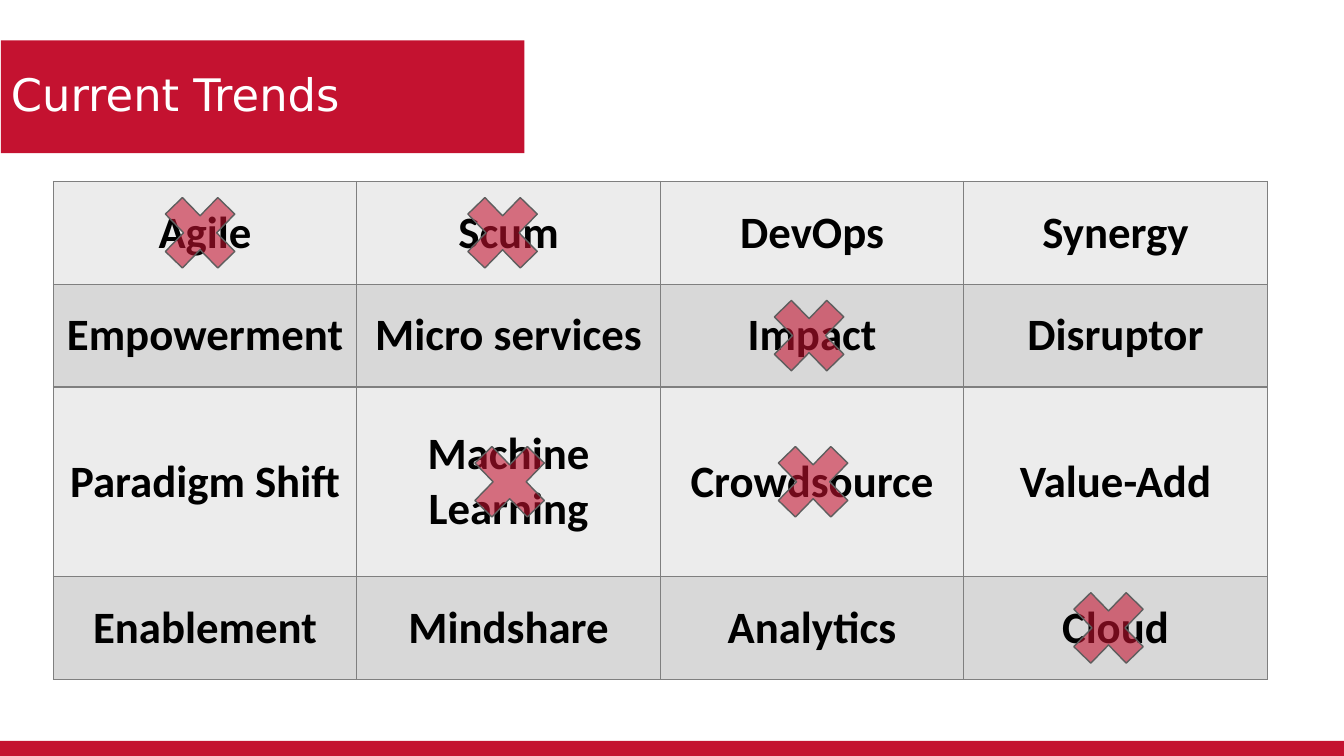
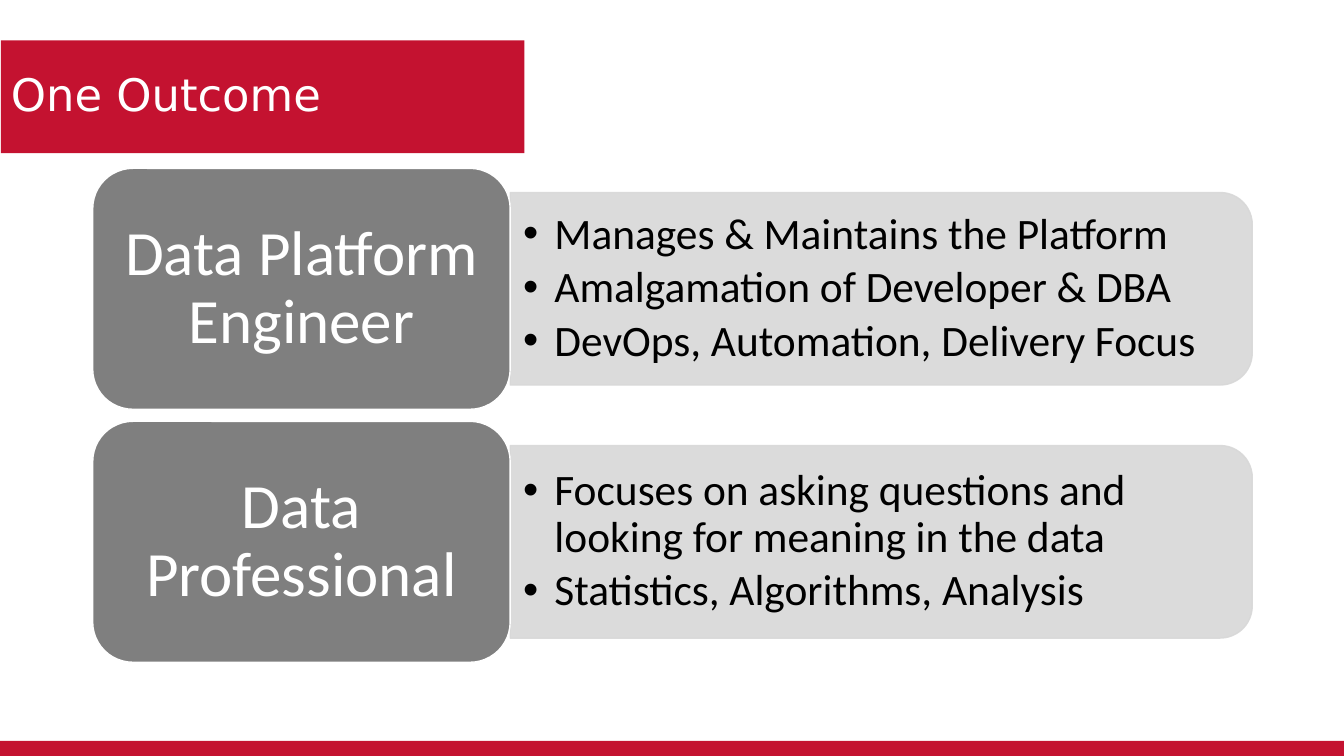
from dataclasses import dataclass

from lxml import etree
from pptx import Presentation
from pptx.dml.color import RGBColor
from pptx.enum.shapes import MSO_SHAPE
from pptx.enum.text import MSO_ANCHOR, PP_ALIGN
from pptx.oxml.ns import qn
from pptx.util import Inches, Pt

RECTANGLE = MSO_SHAPE.RECTANGLE
ROUNDED = MSO_SHAPE.ROUNDED_RECTANGLE
ROUND_TOP = MSO_SHAPE.ROUND_2_SAME_RECTANGLE
CROSS = MSO_SHAPE.MATH_MULTIPLY
MIDDLE = MSO_ANCHOR.MIDDLE
LEFT, CENTER = PP_ALIGN.LEFT, PP_ALIGN.CENTER


@dataclass(frozen=True)
class Theme:
    red: str = "C41230"
    white: str = "FFFFFF"
    black: str = "000000"
    gray: str = "7F7F7F"
    cross_line: str = "5E5E5E"
    light_row: str = "ECECEC"
    dark_row: str = "D8D8D8"
    title_font: str = "DejaVu Sans"
    body_font: str = "Calibri"
    title_size: float = 32
    table_size: float = 32
    card_size: float = 45
    bullet_size: float = 31


@dataclass(frozen=True)
class Box:
    left: float
    top: float
    width: float
    height: float

    def lengths(self) -> tuple:
        return tuple(Inches(v) for v in (self.left, self.top, self.width, self.height))


@dataclass(frozen=True)
class Strike:
    row: int
    column: int
    nudge: float


@dataclass(frozen=True)
class Role:
    name: str
    duties: tuple[str, ...]


THEME = Theme()
SLIDE_WIDTH, SLIDE_HEIGHT = 13.33, 7.5

TRENDS = (
    ("Agile", "Scum", "DevOps", "Synergy"),
    ("Empowerment", "Micro services", "Impact", "Disruptor"),
    ("Paradigm Shift", "Machine Learning", "Crowdsource", "Value-Add"),
    ("Enablement", "Mindshare", "Analytics", "Cloud"),
)
TABLE_LEFT, TABLE_TOP, COLUMN_WIDTH = 0.53, 1.8, 3.01
ROW_HEIGHTS = (1.02, 1.02, 1.88, 1.02)
STRIKES = (
    Strike(0, 0, -0.05),
    Strike(2, 2, 0.01),
    Strike(3, 3, -0.07),
    Strike(0, 1, -0.06),
    Strike(2, 1, 0.01),
    Strike(1, 2, -0.03),
)
CROSS_WIDTH, CROSS_HEIGHT = 1, 1.03

ROLES = (
    Role("Data Platform Engineer", (
        "Manages & Maintains the Platform",
        "Amalgamation of Developer & DBA",
        "DevOps, Automation, Delivery Focus",
    )),
    Role("Data Professional", (
        "Focuses on asking questions and looking for meaning in the data",
        "Statistics, Algorithms, Analysis",
    )),
)
CARD = Box(0.92, 1.67, 4.14, 2.39)
CARD_STEP = 2.51
BAND_LENGTH, BAND_HEIGHT = 7.36, 1.91
DUTIES_WIDTH, DUTIES_HEIGHT = 7.27, 1.73


def color(value: str) -> RGBColor:
    return RGBColor.from_string(value)


def set_opacity(fill_parent, percent: int) -> None:
    """Make the solid fill directly below an element partly transparent."""
    tone = fill_parent.find(qn("a:solidFill"))[0]
    etree.SubElement(tone, qn("a:alpha"), val=str(percent * 1000))


def add_box(slide, kind, box: Box, fill: str, line: str | None = None,
            opacity: int = 100, line_opacity: int = 100):
    shape = slide.shapes.add_shape(kind, *box.lengths())
    shape.shadow.inherit = False
    shape.fill.solid()
    shape.fill.fore_color.rgb = color(fill)
    if line is None:
        shape.line.fill.background()
    else:
        shape.line.color.rgb = color(line)
        shape.line.width = Pt(1)
    properties = shape.fill._xPr
    if opacity < 100:
        set_opacity(properties, opacity)
    if line_opacity < 100:
        set_opacity(properties.find(qn("a:ln")), line_opacity)
    return shape


def write_text(frame, *lines: str, font: str = THEME.body_font, size: float,
               tone: str, bold: bool = False, align=LEFT, spacing: float = 1.0,
               after: float = 0, bullet_indent: float = 0,
               margins: tuple[float, float] = (0.1, 0.05)) -> None:
    frame.word_wrap = True
    frame.vertical_anchor = MIDDLE
    frame.margin_left = frame.margin_right = Inches(margins[0])
    frame.margin_top = frame.margin_bottom = Inches(margins[1])
    for index, line in enumerate(lines):
        paragraph = frame.add_paragraph() if index else frame.paragraphs[0]
        paragraph.alignment = align
        paragraph.line_spacing = spacing
        paragraph.space_after = Pt(after)
        if bullet_indent:
            properties = paragraph._p.get_or_add_pPr()
            properties.set("marL", str(Inches(bullet_indent)))
            properties.set("indent", str(-Inches(bullet_indent)))
            etree.SubElement(properties, qn("a:buFont"), typeface="Arial")
            etree.SubElement(properties, qn("a:buChar"), char="•")
        run = paragraph.add_run()
        run.text = line
        run.font.name = font
        run.font.size = Pt(size)
        run.font.bold = bold
        run.font.color.rgb = color(tone)


def add_titled_slide(presentation, title: str):
    slide = presentation.slides.add_slide(presentation.slide_layouts[6])
    add_box(slide, RECTANGLE, Box(0, 7.35, SLIDE_WIDTH, 0.15), THEME.red)
    banner = add_box(slide, RECTANGLE, Box(0.01, 0.4, 5.19, 1.12), THEME.red)
    write_text(banner.text_frame, title, font=THEME.title_font,
               size=THEME.title_size, tone=THEME.white, spacing=0.9)
    return slide


def set_borders(cell) -> None:
    properties = cell._tc.get_or_add_tcPr()
    for side in ("lnL", "lnR", "lnT", "lnB"):
        border = etree.SubElement(properties, qn(f"a:{side}"), w=str(Pt(1)))
        fill = etree.SubElement(border, qn("a:solidFill"))
        etree.SubElement(fill, qn("a:srgbClr"), val=THEME.gray)


def add_trend_table(slide) -> None:
    columns = len(TRENDS[0])
    box = Box(TABLE_LEFT, TABLE_TOP, COLUMN_WIDTH * columns, sum(ROW_HEIGHTS))
    table = slide.shapes.add_table(len(TRENDS), columns, *box.lengths()).table
    table.first_row = table.horz_banding = False
    for column in table.columns:
        column.width = Inches(COLUMN_WIDTH)
    for row_index, words in enumerate(TRENDS):
        table.rows[row_index].height = Inches(ROW_HEIGHTS[row_index])
        for column_index, word in enumerate(words):
            cell = table.cell(row_index, column_index)
            set_borders(cell)
            cell.fill.solid()
            cell.fill.fore_color.rgb = color(
                THEME.dark_row if row_index % 2 else THEME.light_row)
            write_text(cell.text_frame, word, size=THEME.table_size,
                       tone=THEME.black, bold=True, align=CENTER)
            cell.vertical_anchor = MIDDLE


def add_strike(slide, strike: Strike) -> None:
    center_x = TABLE_LEFT + (strike.column + 0.5) * COLUMN_WIDTH + strike.nudge
    center_y = (TABLE_TOP + sum(ROW_HEIGHTS[:strike.row])
                + ROW_HEIGHTS[strike.row] / 2)
    box = Box(center_x - CROSS_WIDTH / 2, center_y - CROSS_HEIGHT / 2,
              CROSS_WIDTH, CROSS_HEIGHT)
    add_box(slide, CROSS, box, THEME.red, THEME.cross_line, opacity=58)


def add_role(slide, role: Role, top: float) -> None:
    band_left = CARD.left + CARD.width
    center_x = band_left + BAND_LENGTH / 2
    center_y = top + CARD.height / 2

    # Band turned so that its rounded end points right
    band_box = Box(center_x - BAND_HEIGHT / 2, center_y - BAND_LENGTH / 2,
                   BAND_HEIGHT, BAND_LENGTH)
    band = add_box(slide, ROUND_TOP, band_box, THEME.dark_row, THEME.dark_row,
                   opacity=90, line_opacity=90)
    band.rotation = 90

    # Upright bullets over the band
    duties_box = Box(band_left, center_y - DUTIES_HEIGHT / 2,
                     DUTIES_WIDTH, DUTIES_HEIGHT)
    duties = slide.shapes.add_textbox(*duties_box.lengths())
    write_text(duties.text_frame, *role.duties, size=THEME.bullet_size,
               tone=THEME.black, spacing=0.9, after=4.5, bullet_indent=0.31,
               margins=(0.13, 0.06))

    # Role card
    card = add_box(slide, ROUNDED, Box(CARD.left, top, CARD.width, CARD.height),
                   THEME.gray, THEME.white)
    write_text(card.text_frame, role.name, size=THEME.card_size,
               tone=THEME.white, align=CENTER, spacing=0.9,
               margins=(0.19, 0.09))


def main() -> None:
    presentation = Presentation()
    presentation.slide_width = Inches(SLIDE_WIDTH)
    presentation.slide_height = Inches(SLIDE_HEIGHT)

    # Trends with struck-out words
    trends_slide = add_titled_slide(presentation, "Current Trends")
    add_trend_table(trends_slide)
    for strike in STRIKES:
        add_strike(trends_slide, strike)

    # Roles and their duties
    outcome_slide = add_titled_slide(presentation, "One Outcome")
    for index, role in enumerate(ROLES):
        add_role(outcome_slide, role, CARD.top + index * CARD_STEP)

    presentation.save("out.pptx")


if __name__ == "__main__":
    main()
